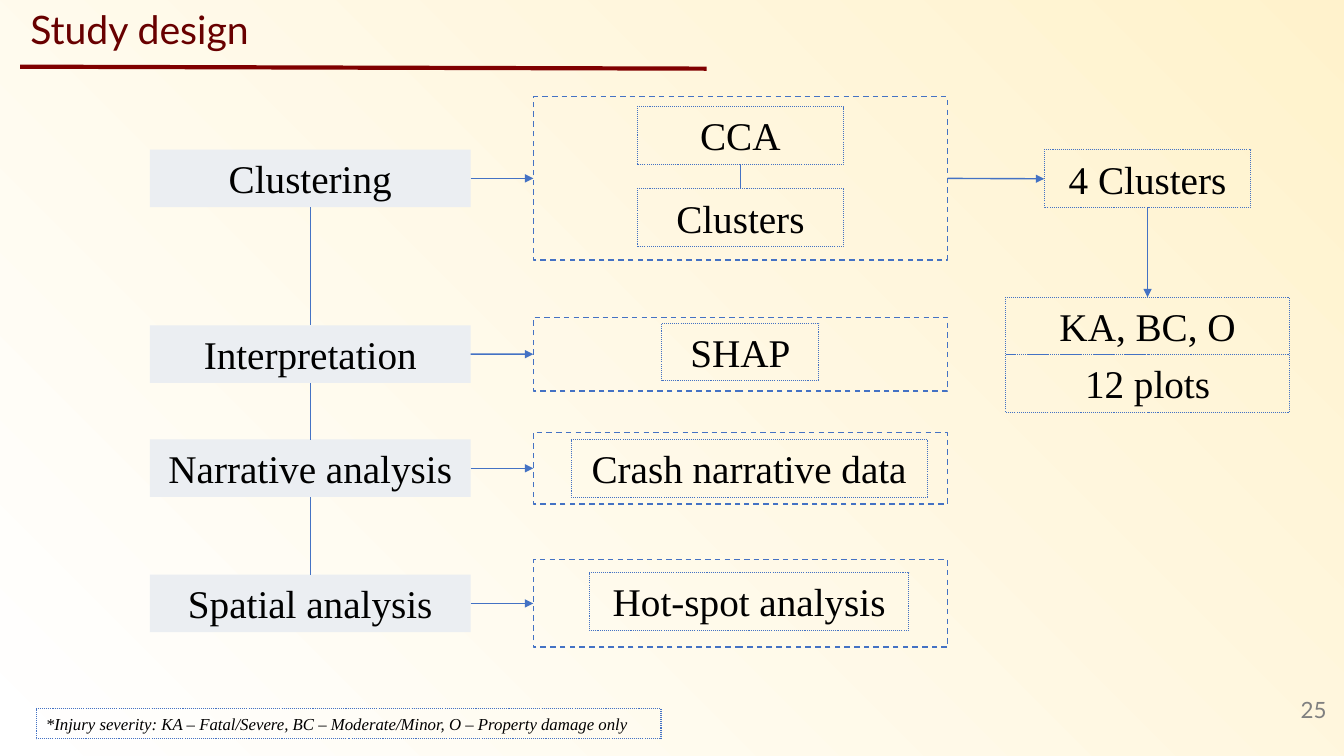
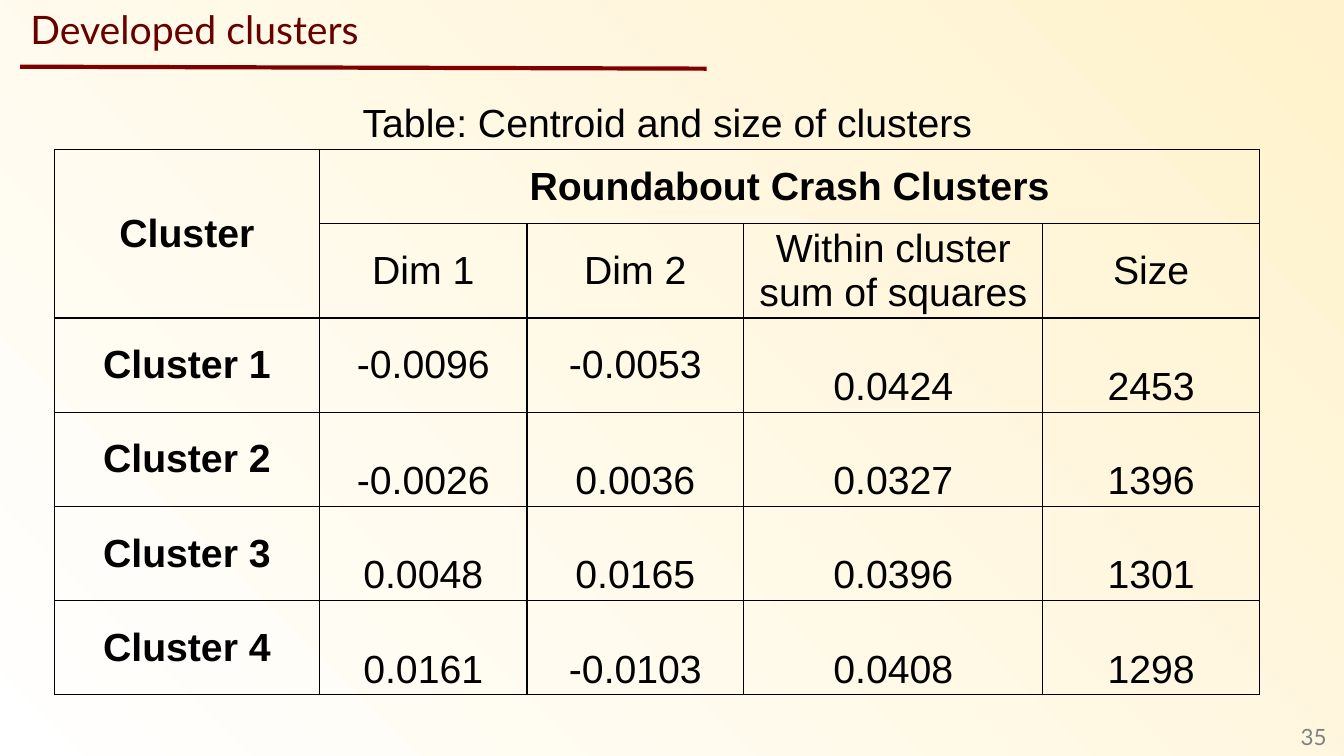
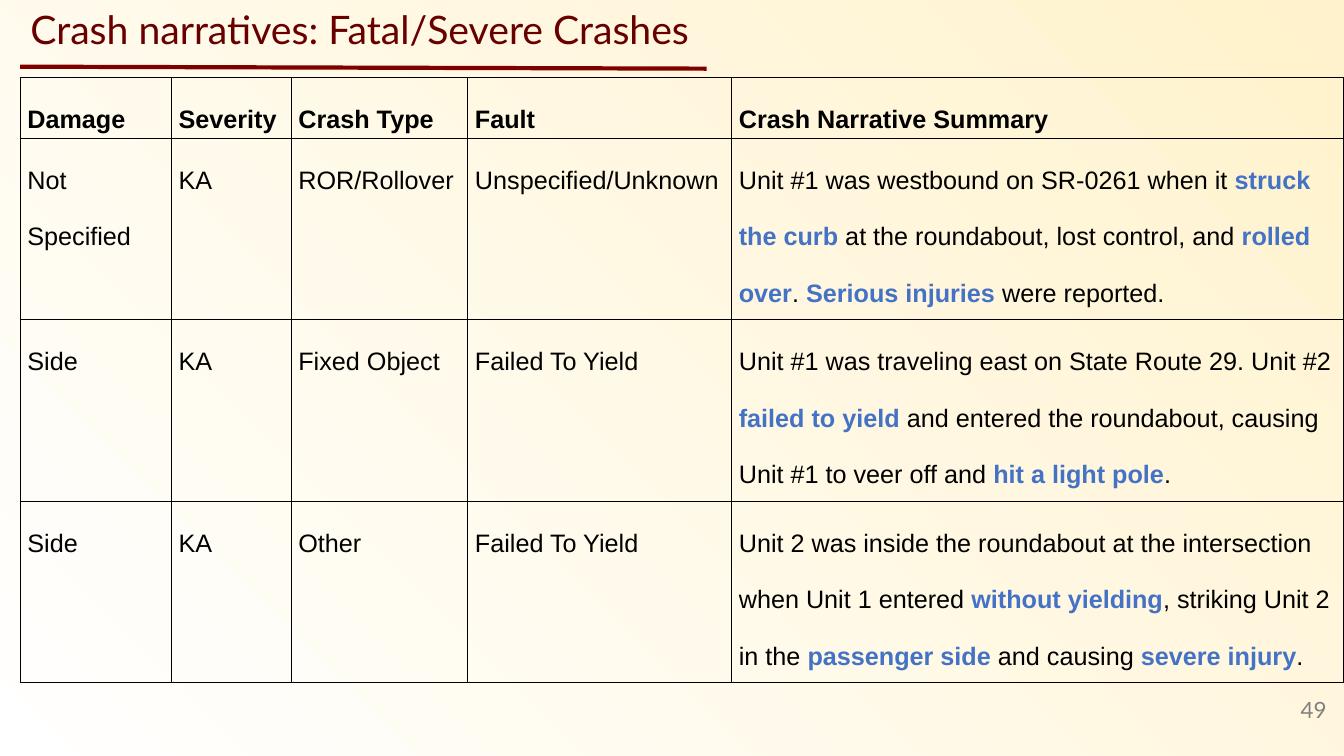
import pptx
import pptx.dml.color
import pptx.enum.dml
import pptx.enum.shapes
import pptx.enum.text
import pptx.oxml.ns
import pptx.util
from lxml import etree

Cm = pptx.util.Cm
Pt = pptx.util.Pt
qn = pptx.oxml.ns.qn
ALIGN = pptx.enum.text.PP_ALIGN
ANCHOR = pptx.enum.text.MSO_ANCHOR
DASH = pptx.enum.dml.MSO_LINE.DASH
DOT = pptx.enum.dml.MSO_LINE.ROUND_DOT

BLACK, BLUE, STEP_FILL = "000000", "4472C4", "EBEEF2"
TITLE_RED, RULE_RED, GREY = "680000", "800000", "808080"
CREAM, WHITE = "FFF2CC", "FFFFFF"
SERIF, SANS, HEADING = "Times New Roman", "Arial", "Lato"

SLIDE_WIDTH, SLIDE_HEIGHT = 33.87, 19.05
LABEL_HEIGHT = 1.45
TITLE_BOX = (0.51, 0, 25.48, LABEL_HEIGHT)
TOP, LEFT, BOTTOM, RIGHT = range(4)


def color(hex_string):
    return pptx.dml.color.RGBColor.from_string(hex_string)


def lengths(box):
    return [Cm(length) for length in box]


def write_text(frame, text, font=SANS, size=28, fill=BLACK, bold=False, italic=False,
               align=ALIGN.LEFT, anchor=ANCHOR.TOP, spacing=None, after=None):
    frame.word_wrap = True
    frame.vertical_anchor = anchor
    paragraph = frame.paragraphs[0]
    paragraph.alignment = align
    paragraph.line_spacing = spacing
    if after is not None:
        paragraph.space_after = Pt(after)
    for index, part in enumerate(text.split("|")):
        highlighted = index % 2 == 1
        run = paragraph.add_run()
        run.text = part
        run.font.name = font
        run.font.size = Pt(size)
        run.font.bold = bold or highlighted
        run.font.italic = italic
        run.font.color.rgb = color(BLUE if highlighted else fill)


def add_label(slide, box, text, **style):
    label = slide.shapes.add_textbox(*lengths(box))
    write_text(label.text_frame, text, **style)


def add_box(slide, box, text="", fill=None, dash=DOT, width=0.75, align=ALIGN.CENTER, **style):
    shape = slide.shapes.add_shape(pptx.enum.shapes.MSO_SHAPE.RECTANGLE, *lengths(box))
    shape.shadow.inherit = False
    if fill:
        shape.fill.solid()
        shape.fill.fore_color.rgb = color(fill)
        shape.line.fill.background()
    else:
        shape.fill.background()
        shape.line.color.rgb = color(BLUE)
        shape.line.width = Pt(width)
        shape.line.dash_style = dash
    if text:
        write_text(shape.text_frame, text, font=SERIF, align=align, **style)
    return shape


def add_line(slide, points=(0, 0, 0, 0), line_color=BLUE, width=1):
    connector = slide.shapes.add_connector(
        pptx.enum.shapes.MSO_CONNECTOR.STRAIGHT, *lengths(points))
    connector.line.color.rgb = color(line_color)
    connector.line.width = Pt(width)
    etree.SubElement(connector.element.spPr, qn("a:effectLst"))
    return connector


def join(slide, start, start_side, end, end_side, arrow=True):
    connector = add_line(slide)
    connector.begin_connect(start, start_side)
    connector.end_connect(end, end_side)
    if arrow:
        outline = connector.element.spPr.find(qn("a:ln"))
        etree.SubElement(outline, qn("a:tailEnd"), type="triangle")


def add_titled_slide(presentation, title, number, number_top=17.37):
    slide = presentation.slides.add_slide(presentation.slide_layouts[5])
    placeholder = slide.shapes.title
    placeholder.left, placeholder.top, placeholder.width, placeholder.height = lengths(TITLE_BOX)
    placeholder.text_frame.auto_size = pptx.enum.text.MSO_AUTO_SIZE.NONE
    write_text(placeholder.text_frame, title, font=HEADING, fill=TITLE_RED)
    add_line(slide, (0.51, 1.68, 17.81, 1.73), RULE_RED, 3)
    add_label(slide, (32.23, number_top, 1.45, 1.02), number, font=HEADING, size=16,
              fill=GREY, align=ALIGN.RIGHT, anchor=ANCHOR.MIDDLE)
    return slide


def add_stage(slide, box, step_name, methods):
    left, top, width, height = box
    step_width, frame_width = 8.08, 10.44
    frame_left = left + width - frame_width
    step_top = top + (height - LABEL_HEIGHT) / 2
    step = add_box(slide, (left, step_top, step_width, LABEL_HEIGHT), step_name, fill=STEP_FILL)
    frame = add_box(slide, (frame_left, top, frame_width, height), dash=DASH, width=1)
    join(slide, step, RIGHT, frame, LEFT)
    previous = None
    for name, method_width, shift, offset in methods:
        method_left = frame_left + (frame_width - method_width) / 2 + shift
        method = add_box(slide, (method_left, top + offset, method_width, LABEL_HEIGHT), name)
        if previous:
            join(slide, previous, BOTTOM, method, TOP, arrow=False)
        previous = method
    return step, frame


def add_outcome(slide, box, frame):
    left, top, width, height = box
    head_width = 5.21
    plots_top = top + height - 2 * LABEL_HEIGHT
    head = add_box(slide, (left + (width - head_width) / 2, top, head_width, LABEL_HEIGHT),
                   "4 Clusters")
    severities, plots = [
        add_box(slide, (left, plots_top + row * LABEL_HEIGHT, width, LABEL_HEIGHT), text)
        for row, text in enumerate(["KA, BC, O", "12 plots"])]
    join(slide, frame, RIGHT, head, LEFT)
    join(slide, head, BOTTOM, severities, TOP)


def build_study_design(presentation):
    slide = add_titled_slide(presentation, "Study design", "25")
    stages = [
        (2.44, 4.11, "Clustering", [("CCA", 5.21, 0, 0.25), ("Clusters", 5.21, 0, 2.32)]),
        (8, 1.85, "Interpretation", [("SHAP", 3.96, 0, 0.15)]),
        (10.9, 1.8, "Narrative analysis", [("Crash narrative data", 8.97, 0.22, 0.18)]),
        (14.1, 2.21, "Spatial analysis", [("Hot-spot analysis", 8.05, 0.22, 0.33)]),
    ]
    placed = [add_stage(slide, (3.78, top, 20.1, height), name, methods)
              for top, height, name, methods in stages]
    steps = [step for step, frame in placed]
    for upper, lower in zip(steps, steps[1:]):
        join(slide, upper, BOTTOM, lower, TOP, arrow=False)
    add_outcome(slide, (25.35, 3.78, 7.14, 6.61), placed[0][1])
    add_box(slide, (0.91, 17.86, 15.75, 0.76),
            "*Injury severity: KA – Fatal/Severe, BC – Moderate/Minor, O – Property damage only",
            size=12, italic=True, align=ALIGN.LEFT)


def format_cell(cell):
    properties = cell._tc.get_or_add_tcPr()
    for side in ("a:lnL", "a:lnR", "a:lnT", "a:lnB"):
        border = etree.SubElement(properties, qn(side), w=str(Pt(1)))
        border_fill = etree.SubElement(border, qn("a:solidFill"))
        etree.SubElement(border_fill, qn("a:srgbClr"), val=BLACK)
    cell.fill.background()
    cell.margin_left = cell.margin_right = Cm(0.18)
    cell.margin_top = cell.margin_bottom = 0


def add_grid(slide, left, top, widths, heights, rows, cell_style):
    box = (left, top, sum(widths), sum(heights))
    table = slide.shapes.add_table(len(rows), len(widths), *lengths(box)).table
    table.first_row = table.horz_banding = False
    for column, width in zip(table.columns, widths):
        column.width = Cm(width)
    for row, height in zip(table.rows, heights):
        row.height = Cm(height)
    for row_index, texts in enumerate(rows):
        for column_index, text in enumerate(texts):
            cell = table.cell(row_index, column_index)
            format_cell(cell)
            if text:
                style = cell_style(row_index, column_index)
                write_text(cell.text_frame, text, **style)
                cell.vertical_anchor = style.get("anchor", ANCHOR.TOP)
    return table


def cluster_style(row, column):
    single = row < 2 or column == 0 or (row == 2 and column < 3)
    return {"bold": row == 0 or column == 0, "align": ALIGN.CENTER,
            "anchor": ANCHOR.MIDDLE, "spacing": 1.0 if single else 2.0}


def narrative_style(row, column):
    return {"size": 18, "bold": row == 0, "spacing": 2.0, "after": 8}


def build_clusters(presentation):
    slide = add_titled_slide(presentation, "Developed clusters", "35", 18.06)
    add_label(slide, (8.89, 2.36, 16.1, LABEL_HEIGHT), "Table: Centroid and size of clusters")
    rows = [
        ("Cluster", "Roundabout Crash Clusters", "", "", ""),
        ("", "Dim 1", "Dim 2", "Within cluster sum of squares", "Size"),
        ("Cluster 1", "-0.0096", "-0.0053", "0.0424", "2453"),
        ("Cluster 2", "-0.0026", "0.0036", "0.0327", "1396"),
        ("Cluster 3", "0.0048", "0.0165", "0.0396", "1301"),
        ("Cluster 4", "0.0161", "-0.0103", "0.0408", "1298"),
    ]
    table = add_grid(slide, 1.37, 3.76, [6.68, 5.23, 5.46, 7.54, 5.46],
                     [1.88, 1.8] + [1.88] * 4, rows, cluster_style)
    table.cell(0, 0).merge(table.cell(1, 0))
    table.cell(0, 1).merge(table.cell(0, 4))


def build_narratives(presentation):
    slide = add_titled_slide(presentation, "Crash narratives: Fatal/Severe Crashes", "49")
    rows = [
        ("Damage", "Severity", "Crash Type", "Fault", "Crash Narrative Summary"),
        ("Not Specified", "KA", "ROR/Rollover", "Unspecified/Unknown",
         "Unit #1 was westbound on SR-0261 when it |struck the curb| at the roundabout, "
         "lost control, and |rolled over|. |Serious injuries |were reported."),
        ("Side", "KA", "Fixed Object", "Failed To Yield",
         "Unit #1 was traveling east on State Route 29. Unit #2 |failed to yield |and entered "
         "the roundabout, causing Unit #1 to veer off and |hit a light pole|."),
        ("Side", "KA", "Other", "Failed To Yield",
         "Unit 2 was inside the roundabout at the intersection when Unit 1 entered "
         "|without yielding|, striking Unit 2 in the |passenger side |and causing "
         "|severe injury|."),
    ]
    add_grid(slide, 0.51, 1.96, [3.81, 3.02, 4.45, 6.65, 15.42], [1.07] * 4,
             rows, narrative_style)


def set_background(master):
    fill = master.background.fill
    fill.gradient()
    fill.gradient_angle = 225
    for stop, stop_color in zip(fill.gradient_stops, (CREAM, WHITE)):
        stop.color.rgb = color(stop_color)


def main():
    presentation = pptx.Presentation()
    presentation.slide_width = Cm(SLIDE_WIDTH)
    presentation.slide_height = Cm(SLIDE_HEIGHT)
    set_background(presentation.slide_master)
    build_study_design(presentation)
    build_clusters(presentation)
    build_narratives(presentation)
    presentation.save("out.pptx")


if __name__ == "__main__":
    main()
